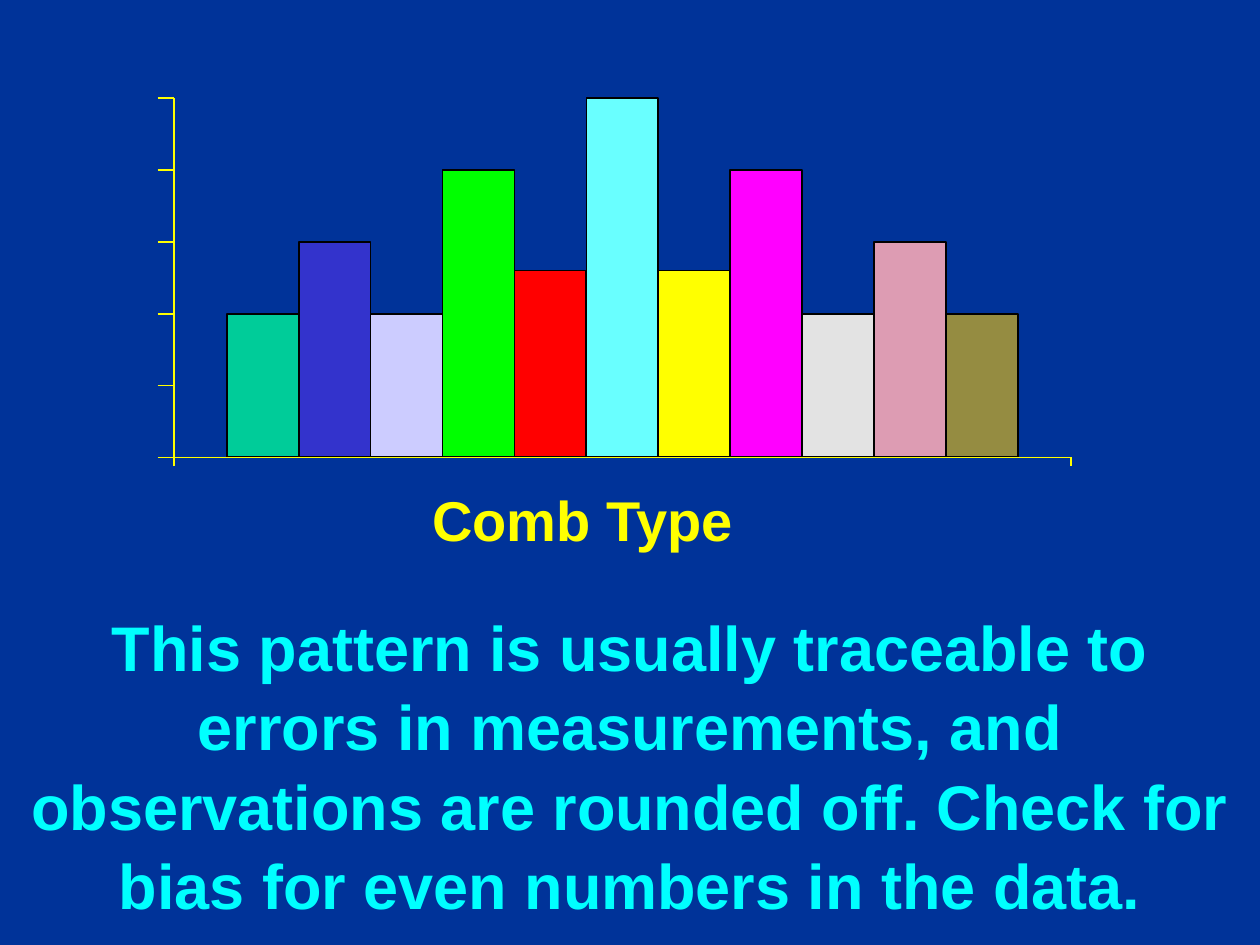
from pptx import Presentation
from pptx.dml.color import RGBColor
from pptx.enum.shapes import MSO_CONNECTOR, MSO_SHAPE
from pptx.enum.text import MSO_ANCHOR, MSO_AUTO_SIZE, PP_ALIGN
from pptx.util import Inches, Pt
from lxml import etree

RECTANGLE = MSO_SHAPE.RECTANGLE
STRAIGHT = MSO_CONNECTOR.STRAIGHT
TOP = MSO_ANCHOR.TOP
NO_AUTOFIT = MSO_AUTO_SIZE.NONE
LEFT, CENTER = PP_ALIGN.LEFT, PP_ALIGN.CENTER

NAVY = RGBColor(0x00, 0x33, 0x99)
BLACK = RGBColor(0x00, 0x00, 0x00)
YELLOW = RGBColor(0xFF, 0xFF, 0x00)
CYAN = RGBColor(0x00, 0xFF, 0xFF)

# Content
TITLE = "Comb Type"
EXPLANATION = (
    "This pattern is usually traceable to errors in measurements, and "
    "observations are rounded off. Check for bias for even numbers in the data."
)
BARS = [  # height in axis units, fill
    (2, RGBColor(0x00, 0xCC, 0x99)),
    (3, RGBColor(0x33, 0x33, 0xCC)),
    (2, RGBColor(0xCC, 0xCC, 0xFF)),
    (4, RGBColor(0x00, 0xFF, 0x00)),
    (2.6, RGBColor(0xFF, 0x00, 0x00)),
    (5, RGBColor(0x69, 0xFF, 0xFF)),
    (2.6, YELLOW),
    (4, RGBColor(0xFF, 0x00, 0xFF)),
    (2, RGBColor(0xE3, 0xE3, 0xE3)),
    (3, RGBColor(0xDD, 0x9C, 0xB3)),
    (2, RGBColor(0x95, 0x8C, 0x41)),
]

# Histogram geometry, in inches
AXIS_LEFT, AXIS_RIGHT = 1.38, 8.5
AXIS_TOP, BASELINE = 0.78, 3.63
TICK_LEFT, TICK_BOTTOM = 1.25, 3.7
UNITS = 5
UNIT = (BASELINE - AXIS_TOP) / UNITS
BARS_LEFT, BARS_RIGHT = 1.8, 8.08
BAR_WIDTH = (BARS_RIGHT - BARS_LEFT) / len(BARS)


def add_bar(slide, index, value, color):
    height = value * UNIT
    bar = slide.shapes.add_shape(
        RECTANGLE, Inches(BARS_LEFT + index * BAR_WIDTH),
        Inches(BASELINE - height), Inches(BAR_WIDTH), Inches(height))
    bar.shadow.inherit = False
    bar.fill.solid()
    bar.fill.fore_color.rgb = color
    bar.line.color.rgb = BLACK
    bar.line.width = Pt(1)


def add_axis_line(slide, *ends):
    line = slide.shapes.add_connector(STRAIGHT, *map(Inches, ends))
    line.line.color.rgb = YELLOW
    line.line.width = Pt(1)
    properties = line.line._get_or_add_ln().getparent()
    namespace = properties.nsmap["a"]
    etree.SubElement(properties, f"{{{namespace}}}effectLst")


def write_text(shape, text, alignment, font_format):
    frame = shape.text_frame
    frame.text = text
    frame_format = {
        "word_wrap": True, "auto_size": NO_AUTOFIT, "vertical_anchor": TOP,
        "margin_left": Inches(0.1), "margin_right": Inches(0.1),
        "margin_top": Inches(0.05), "margin_bottom": Inches(0.05),
    }
    for name, value in frame_format.items():
        setattr(frame, name, value)
    paragraph = frame.paragraphs[0]
    paragraph.alignment = alignment
    paragraph.line_spacing = 1.05
    paragraph.space_before = Pt(0)
    font = paragraph.runs[0].font
    font.color.rgb = font_format["color"]
    for name, value in {"name": "Arial", "bold": True,
                        "size": font_format["size"]}.items():
        setattr(font, name, value)


def main():
    presentation = Presentation()
    presentation.slide_width = Inches(10)
    presentation.slide_height = Inches(7.5)
    slide = presentation.slides.add_slide(presentation.slide_layouts[5])
    slide.background.fill.solid()
    slide.background.fill.fore_color.rgb = NAVY

    # Explanation
    explanation = slide.shapes.add_textbox(
        Inches(0), Inches(4.75), Inches(10), Inches(2.5))
    write_text(explanation, EXPLANATION, CENTER,
               {"color": CYAN, "size": Pt(36)})

    # Bars
    for index, (value, color) in enumerate(BARS):
        add_bar(slide, index, value, color)

    # Axes with their ticks
    add_axis_line(slide, AXIS_LEFT, AXIS_TOP, AXIS_LEFT, BASELINE)
    for step in range(UNITS + 1):
        y = BASELINE - step * UNIT
        add_axis_line(slide, TICK_LEFT, y, AXIS_LEFT, y)
    add_axis_line(slide, AXIS_LEFT, BASELINE, AXIS_RIGHT, BASELINE)
    for x in (AXIS_LEFT, AXIS_RIGHT):
        add_axis_line(slide, x, TICK_BOTTOM, x, BASELINE)

    # Title below the histogram
    title = slide.shapes.title
    title.left, title.top = Inches(3.33), Inches(3.78)
    title.width, title.height = Inches(3.17), Inches(0.64)
    write_text(title, TITLE, LEFT, {"color": YELLOW, "size": Pt(32)})

    presentation.save("out.pptx")


if __name__ == "__main__":
    main()
